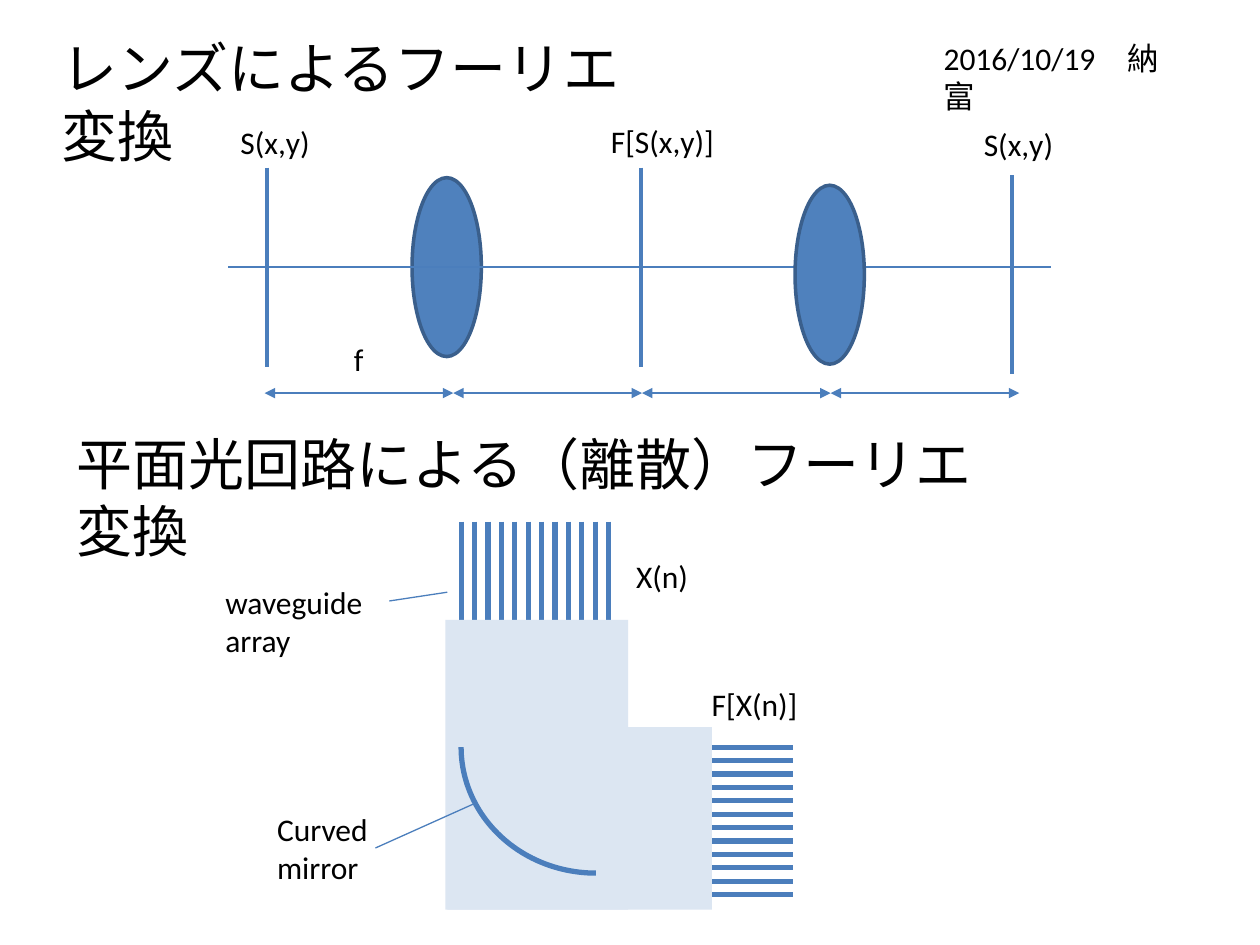
from lxml import etree
from pptx import Presentation, util as u
from pptx.dml.color import RGBColor
from pptx.enum import shapes, text
from pptx.oxml import ns

LINE_BLUE = RGBColor(0x4B, 0x7E, 0xBC)
LENS_BLUE = RGBColor(0x4F, 0x81, 0xBD)
LENS_EDGE = RGBColor(0x3A, 0x5F, 0x8C)
SLAB_BLUE = RGBColor(0xDC, 0xE6, 0xF2)
BLACK = RGBColor(0, 0, 0)
INCH = 2.54  # centimetres; coordinates below are in inches

presentation = Presentation()
presentation.slide_width, presentation.slide_height = u.Cm(10 * INCH), u.Cm(7.5 * INCH)
slide = presentation.slides.add_slide(presentation.slide_layouts[6])


def add_line(x1, y1, x2, y2, width, arrows=False):
    ends = [u.Cm(value * INCH) for value in (x1, y1, x2, y2)]
    line = slide.shapes.add_connector(shapes.MSO_CONNECTOR.STRAIGHT, *ends)
    line.line.color.rgb = LINE_BLUE
    line.line.width = u.Pt(width)
    if arrows:
        outline = line.line._get_or_add_ln()
        for end in ("a:headEnd", "a:tailEnd"):
            etree.SubElement(outline, ns.qn(end), type="triangle")
    etree.SubElement(line._element.spPr, ns.qn("a:effectLst"))


def add_shape(kind, left, top, width, height, fill=None, edge=None, edge_width=0):
    box = [u.Cm(value * INCH) for value in (left, top, width, height)]
    shape = slide.shapes.add_shape(kind, *box)
    shape.shadow.inherit = False
    if fill:
        shape.fill.solid()
        shape.fill.fore_color.rgb = fill
    else:
        shape.fill.background()
    if edge:
        shape.line.color.rgb = edge
        shape.line.width = u.Pt(edge_width)
    else:
        shape.line.fill.background()
    return shape


# Lens system: optical axis, lenses and planes
OVAL, RECTANGLE = shapes.MSO_SHAPE.OVAL, shapes.MSO_SHAPE.RECTANGLE
add_shape(OVAL, 3.27, 1.41, 0.55, 1.42, LENS_BLUE, LENS_EDGE, 2)
add_line(1.81, 2.12, 8.34, 2.12, 0.75)
add_shape(OVAL, 6.31, 1.47, 0.55, 1.42, LENS_BLUE, LENS_EDGE, 2)
for x, top in ((2.12, 1.33), (5.09, 1.33), (8.03, 1.39)):
    add_line(x, top, x, top + 1.58, 2.25)

# Four focal lengths
FOCAL = 1.4975
for index in range(4):
    start = 2.1 + index * FOCAL
    add_line(start, 3.12, start + FOCAL, 3.12, 0.75, arrows=True)

# Waveguide arrays and slab
PITCH = 1.17 / 11
for index in range(12):
    y = 7.1 - index * PITCH
    add_line(5.44, y, 6.29, y, 3)
add_shape(RECTANGLE, 3.55, 5.77, 2.1, 1.45, SLAB_BLUE)
for index in range(12):
    x = 3.66 + index * PITCH
    add_line(x, 4.14, x, 4.99, 3)
add_shape(RECTANGLE, 3.535, 4.92, 1.45, 2.3, SLAB_BLUE)

# Curved mirror: quarter arc from bottom to left, angles in 1/60000 degree
mirror = add_shape(shapes.MSO_SHAPE.ARC, 3.66, 4.93, 2.14, 2, edge=LINE_BLUE, edge_width=3)
mirror.adjustments[0], mirror.adjustments[1] = 54, 108

# Pointers to the mirror and the waveguides
add_line(3.76, 6.38, 2.98, 6.73, 0.75)
add_line(3.55, 4.7, 3.09, 4.77, 0.75)

# Titles and labels: left, top, width, height, size, wrap, paragraphs
labels = (
    (0.39, 0.22, 5.03, 0.64, 32, True, ["レンズによるフーリエ変換"]),
    (0.51, 3.36, 7.42, 0.64, 32, True, ["平面光回路による（離散）フーリエ変換"]),
    (7.39, 0.26, 2.12, 0.4, 18, True, ["2016/10/19\u3000納富"]),
    (2.71, 2.65, 0.28, 0.4, 18, False, ["f"]),
    (1.81, 0.93, 0.76, 0.4, 18, False, ["S(x,y)"]),
    (4.75, 0.92, 1.03, 0.4, 18, False, ["F[S(x,y)]"]),
    (7.71, 0.94, 0.76, 0.4, 18, False, ["S(x,y)"]),
    (4.95, 4.37, 0.62, 0.4, 18, False, ["X(n)"]),
    (5.55, 5.39, 0.89, 0.4, 18, False, ["F[X(n)]"]),
    (2.1, 6.38, 0.99, 0.71, 18, False, ["Curved ", "mirror"]),
    (1.69, 4.58, 1.3, 0.71, 18, False, ["waveguide", "array"]),
)
for left, top, width, height, size, wrap, lines in labels:
    box = [u.Cm(value * INCH) for value in (left, top, width, height)]
    frame = slide.shapes.add_textbox(*box).text_frame
    frame.word_wrap = wrap
    frame.auto_size = text.MSO_AUTO_SIZE.SHAPE_TO_FIT_TEXT
    for index, words in enumerate(lines):
        paragraph = frame.add_paragraph() if index else frame.paragraphs[0]
        run = paragraph.add_run()
        run.text = words
        run.font.size = u.Pt(size)
        run.font.name = "Calibri"
        run.font.color.rgb = BLACK

presentation.save("out.pptx")
